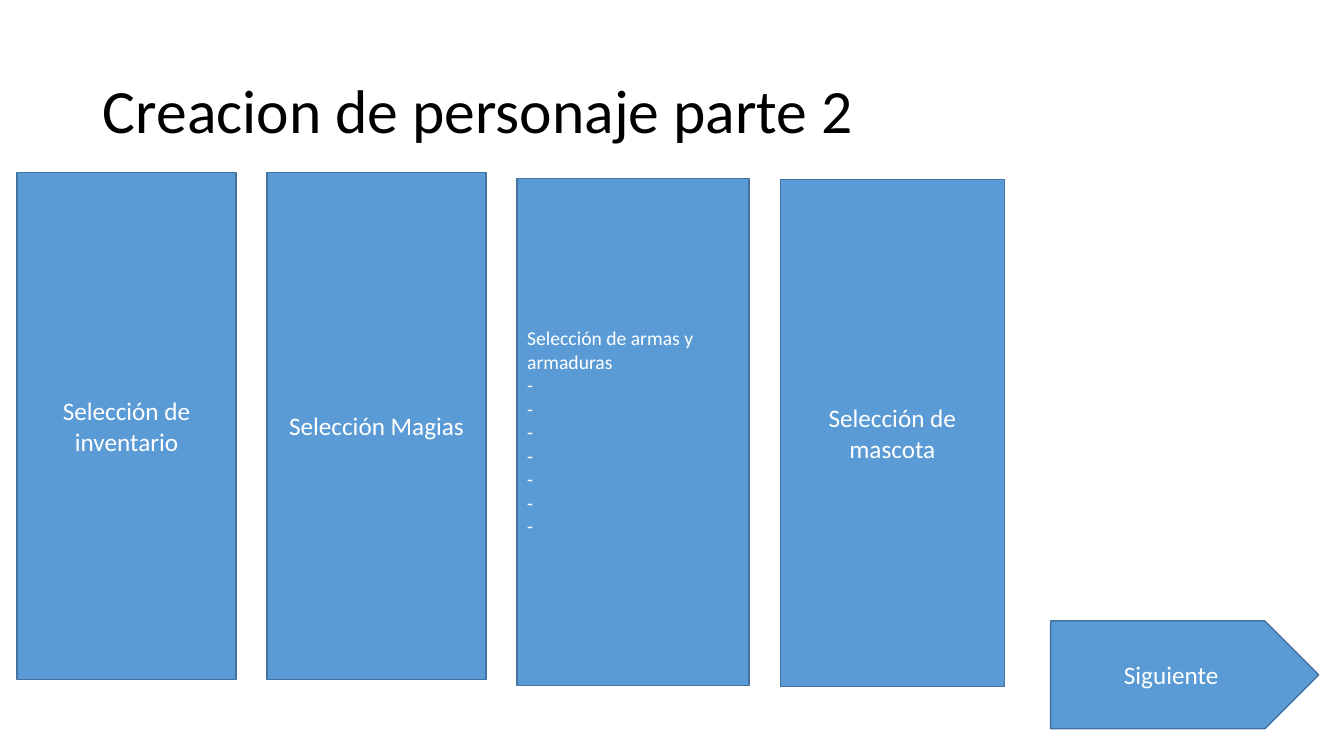
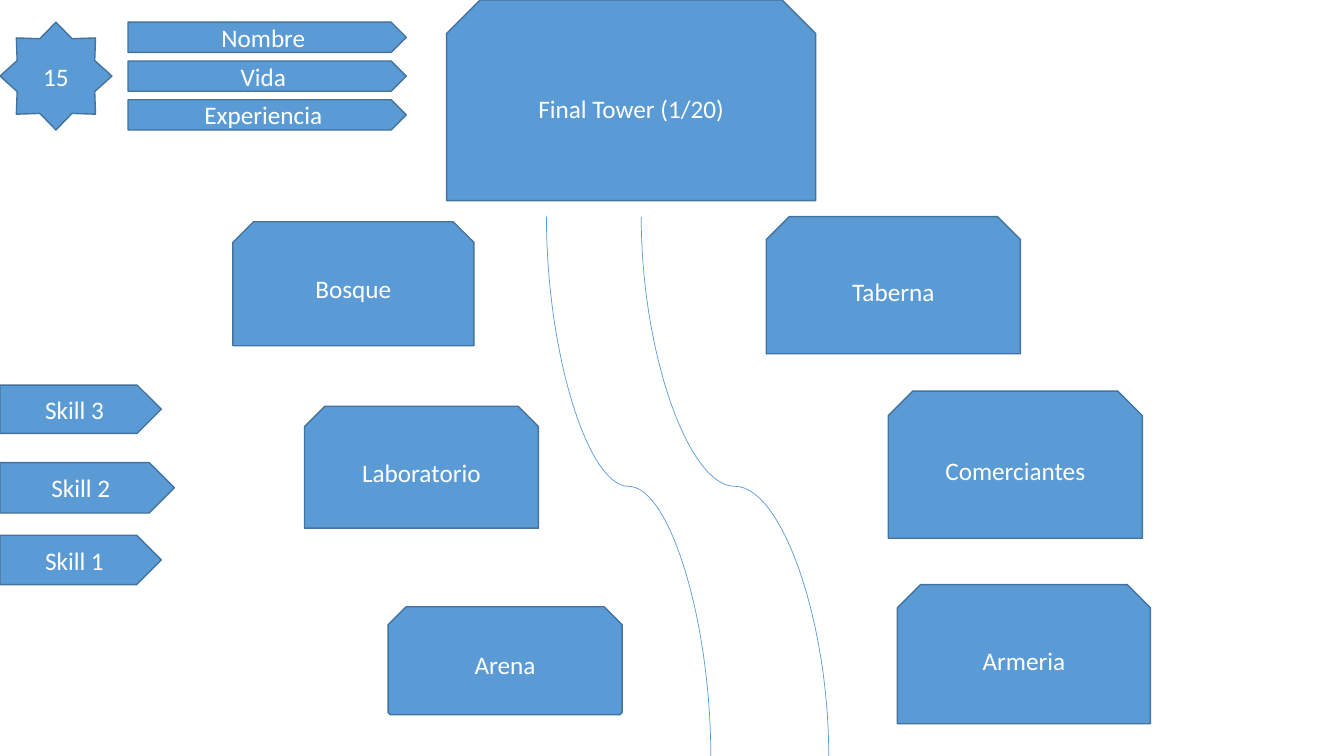
from collections import namedtuple

from lxml.etree import SubElement
from pptx import Presentation
from pptx.dml.color import RGBColor
from pptx.enum.shapes import MSO_CONNECTOR, MSO_SHAPE
from pptx.enum.text import MSO_ANCHOR, PP_ALIGN
from pptx.oxml.ns import qn
from pptx.util import Inches, Pt

COLORS = {"fill": "5B9BD5", "line": "43739E", "light": "FFFFFF", "dark": "000000"}
FONT = "Calibri"
TITLE_ONLY, BLANK = 5, 6
WIDTH, HEIGHT = 13.33, 7.5

Box = namedtuple("Box", "left top width height")


def color(name):
    return RGBColor.from_string(COLORS[name])


def inside(region, left, top, width, height):
    """Place a box given in inches from the corner of its region."""
    return Box(region.left + left, region.top + top, width, height)


def write(shape, text, size=18, ink="light", align=PP_ALIGN.CENTER, spacing=None):
    """Fill a shape with text, one paragraph per line."""
    frame = shape.text_frame
    frame.word_wrap = True
    frame.vertical_anchor = MSO_ANCHOR.MIDDLE
    frame.text = text
    for paragraph in frame.paragraphs:
        paragraph.alignment = align
        paragraph.line_spacing = spacing
        for run in paragraph.runs:
            run.font.name = FONT
            run.font.size = Pt(size)
            run.font.color.rgb = color(ink)


def add_block(slide, kind, box, text, **text_format):
    shape = slide.shapes.add_shape(kind, *map(Inches, box))
    shape.shadow.inherit = False
    shape.fill.solid()
    shape.fill.fore_color.rgb = color("fill")
    shape.line.color.rgb = color("line")
    shape.line.width = Pt(1)
    write(shape, text, **text_format)
    return shape


def add_title(slide, box, text):
    title = slide.shapes.title
    title.left, title.top, title.width, title.height = map(Inches, box)
    write(title, text, size=44, ink="dark", align=PP_ALIGN.LEFT, spacing=0.9)


def add_road(slide, box):
    """Draw an S-curve from top left to bottom right, leaving vertically."""
    center_x, center_y = box.left + box.width / 2, box.top + box.height / 2
    # A quarter turn swaps the sides of the box
    half_width, half_height = box.height / 2, box.width / 2
    road = slide.shapes.add_connector(
        MSO_CONNECTOR.CURVE,
        Inches(center_x + half_width), Inches(center_y - half_height),
        Inches(center_x - half_width), Inches(center_y + half_height))
    road.line.color.rgb = color("fill")
    road.line.width = Pt(0.5)
    properties = road._element.spPr
    properties.find(qn("a:xfrm")).set("rot", str(270 * 60000))
    SubElement(properties, qn("a:effectLst"))


def add_columns(slide, region, columns, gap=0.31, height=5.03):
    left = 0
    for text, width, drop, text_format in columns:
        box = inside(region, left, drop, width, height)
        add_block(slide, MSO_SHAPE.RECTANGLE, box, text, **text_format)
        left += width + gap


def add_status(slide, region, level, bars):
    """Level star on the left, evenly stacked bars on the right."""
    add_block(slide, MSO_SHAPE.STAR_8_POINT,
              inside(region, 0, 0, 1.11, region.height), level)
    bar_left, bar_height = 1.27, 0.3
    pitch = (region.height - bar_height) / (len(bars) - 1)
    for row, text in enumerate(bars):
        box = inside(region, bar_left, row * pitch, region.width - bar_left, bar_height)
        add_block(slide, MSO_SHAPE.PENTAGON, box, text)


def add_skills(slide, region, skills):
    for text, top, width, height in skills:
        add_block(slide, MSO_SHAPE.PENTAGON, inside(region, 0, top, width, height), text)


def add_map(slide, region, roads, places):
    road_top = 2.15
    for left, width in roads:
        add_road(slide, inside(region, left, road_top, width, region.height - road_top))
    for text, *offsets in places:
        place = add_block(slide, MSO_SHAPE.SNIP_2_SAME_RECTANGLE,
                          inside(region, *offsets), text)
        if text == "Arena":
            place.adjustments[1] = 0.02


def build_character_slide(presentation):
    slide = presentation.slides.add_slide(presentation.slide_layouts[TITLE_ONLY])
    add_title(slide, Box(0.92, 0.4, 11.5, 1.45), "Creacion de personaje parte 2")
    equipment = "\n".join(["Selección de armas y armaduras"] + ["-"] * 7)
    # Text, width, drop below the region's top, text format
    add_columns(slide, Box(0.17, 1.71, 9.79, 5.1), [
        ("Selección de inventario", 2.17, 0, {}),
        ("Selección Magias", 2.17, 0, {}),
        (equipment, 2.3, 0.06, {"size": 14, "align": PP_ALIGN.LEFT}),
        ("Selección de mascota", 2.22, 0.07, {}),
    ])
    add_block(slide, MSO_SHAPE.PENTAGON, Box(10.42, 6.16, 2.66, 1.07), "Siguiente")


def build_world_slide(presentation):
    slide = presentation.slides.add_slide(presentation.slide_layouts[BLANK])
    # Roads: left, width; places: text, left, top, width, height
    add_map(slide, Box(2.31, 0, 9.1, HEIGHT), [(3.11, 1.63), (4.05, 1.86)], [
        ("Final Tower (1/20)", 2.12, 0, 3.66, 1.99),
        ("Bosque", 0, 2.2, 2.39, 1.23),
        ("Laboratorio", 0.71, 4.03, 2.32, 1.21),
        ("Arena", 1.54, 6.02, 2.32, 1.07),
        ("Taberna", 5.29, 2.15, 2.52, 1.36),
        ("Comerciantes", 6.5, 3.88, 2.52, 1.46),
        ("Armeria", 6.59, 5.8, 2.51, 1.38),
    ])
    add_status(slide, Box(0, 0.22, 4.03, 1.07), "15", ["Nombre", "Vida", "Experiencia"])
    # Text, top, width, height
    add_skills(slide, Box(0, 3.82, 1.73, 1.98), [
        ("Skill 3", 0, 1.6, 0.48),
        ("Skill 2", 0.77, 1.73, 0.5),
        ("Skill 1", 1.49, 1.6, 0.49),
    ])


presentation = Presentation()
presentation.slide_width = Inches(WIDTH)
presentation.slide_height = Inches(HEIGHT)
build_character_slide(presentation)
build_world_slide(presentation)
presentation.save("out.pptx")
